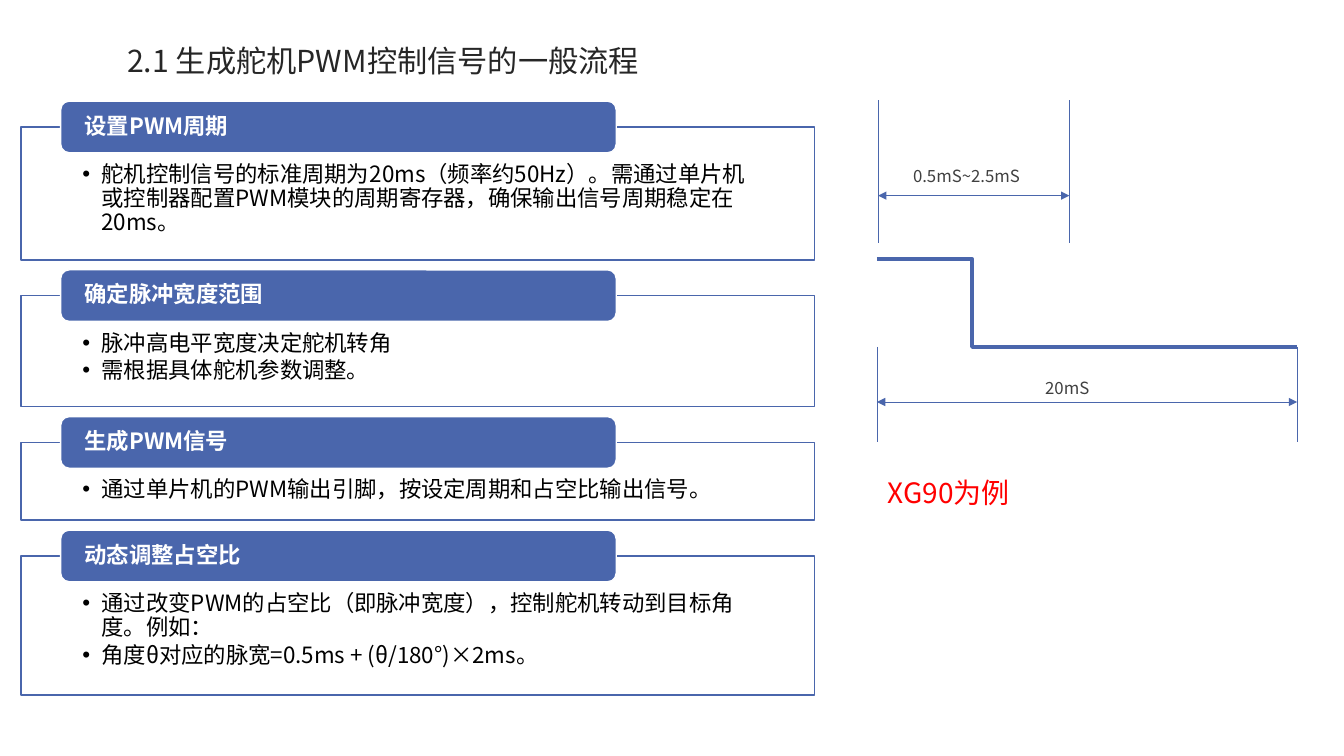
"""Build the slide on the general flow for generating a servo PWM control signal."""
from lxml.etree import SubElement
from pptx import Presentation
from pptx.dml.color import RGBColor
from pptx.enum.shapes import MSO_CONNECTOR, MSO_SHAPE
from pptx.enum.text import MSO_ANCHOR, MSO_AUTO_SIZE, PP_ALIGN
from pptx.oxml.ns import qn
from pptx.util import Cm, Pt

FONT = "Noto Sans CJK SC"
BLUE, WHITE = "4A66AC", "FFFFFF"


def style(p, size, color, bold=False):
    p.alignment = PP_ALIGN.LEFT
    for r in p.runs:
        r.font.size, r.font.bold, r.font.name = Pt(size), bold, FONT
        r.font.color.rgb = RGBColor.from_string(color)
        SubElement(r._r.get_or_add_rPr(), qn("a:ea"), typeface=FONT)


def add_line(kind, x1, y1, x2, y2, width, arrows=False):
    c = s.shapes.add_connector(kind, Cm(x1), Cm(y1), Cm(x2), Cm(y2))
    c.line.color.rgb = RGBColor.from_string(BLUE)
    c.line.width = Pt(width)
    SubElement(c._element.spPr, qn("a:effectLst"))
    if arrows:
        ln = c._element.spPr.find(qn("a:ln"))
        for end_tag in ("a:headEnd", "a:tailEnd"):
            SubElement(ln, qn(end_tag), type="triangle")


prs = Presentation()
prs.slide_width, prs.slide_height = Cm(33.87), Cm(19.05)
s = prs.slides.add_slide(prs.slide_layouts[5])

title = s.shapes.title
title.left, title.top, title.width, title.height = Cm(2.95), Cm(1.04), Cm(18.54), Cm(1.09)
tf = title.text_frame
tf.text = "2.1 生成舵机PWM控制信号的一般流程"
tf.vertical_anchor = MSO_ANCHOR.MIDDLE
tf.auto_size = MSO_AUTO_SIZE.NONE
tf.paragraphs[0].line_spacing = 0.9
style(tf.paragraphs[0], 21.6, "262626")

steps = [
    ("设置PWM周期", 3.35,
     ["舵机控制信号的标准周期为20ms（频率约50Hz）。需通过单片机或控制器配置PWM模块的周期寄存器，确保输出信号周期稳定在20ms。"]),
    ("确定脉冲宽度范围", 2.8,
     ["脉冲高电平宽度决定舵机转角", "需根据具体舵机参数调整。"]),
    ("生成PWM信号", 1.96,
     ["通过单片机的PWM输出引脚，按设定周期和占空比输出信号。"]),
    ("动态调整占空比", 3.5,
     ["通过改变PWM的占空比（即脉冲宽度），控制舵机转动到目标角度。例如：",
      "角度θ对应的脉宽=0.5ms + (θ/180°)×2ms。"]),
]
top, gap, tab_height = 3.2, 0.9, 1.3
for heading, height, points in steps:
    panel = s.shapes.add_shape(MSO_SHAPE.RECTANGLE, Cm(0.53), Cm(top), Cm(20), Cm(height))
    tab = s.shapes.add_shape(MSO_SHAPE.ROUNDED_RECTANGLE, Cm(1.53), Cm(top - tab_height / 2),
                             Cm(14), Cm(tab_height))
    for sp, fill, border in ((panel, WHITE, BLUE), (tab, BLUE, WHITE)):
        sp.shadow.inherit = False
        sp.fill.solid()
        sp.fill.fore_color.rgb = RGBColor.from_string(fill)
        sp.line.color.rgb = RGBColor.from_string(border)
        sp.line.width = Pt(1)
        sp.text_frame.word_wrap = True

    tf = panel.text_frame
    tf.vertical_anchor = MSO_ANCHOR.TOP
    tf.margin_left = tf.margin_right = Cm(1.55)
    tf.margin_top, tf.margin_bottom = Cm(0.91), Cm(0.3)
    tf.text = "\n".join(points)
    for p in tf.paragraphs:
        pPr = p._p.get_or_add_pPr()
        pPr.set("marL", str(Cm(0.48)))
        pPr.set("indent", str(-Cm(0.48)))
        SubElement(pPr, qn("a:buFont"), typeface="Arial")
        SubElement(pPr, qn("a:buChar"), char="•")
        p.line_spacing, p.space_after = 0.9, Pt(2.4)
        style(p, 16, "000000")

    tf = tab.text_frame
    tf.vertical_anchor = MSO_ANCHOR.MIDDLE
    tf.margin_left = tf.margin_right = Cm(0.54)
    tf.margin_top = tf.margin_bottom = 0
    tf.text = heading
    tf.paragraphs[0].line_spacing = 0.9
    style(tf.paragraphs[0], 16, WHITE, True)
    top += height + gap

start, fall, pulse_end, end = 22.1, 24.5, 26.95, 32.69
high, low = 6.53, 8.74
add_line(MSO_CONNECTOR.STRAIGHT, fall, low, end, low, 3)
add_line(MSO_CONNECTOR.ELBOW, start, high, 2 * fall - start, low, 3)
for left, right, y1, y2, arrow_y in ((start, end, low, 11.13, 10.13),
                                     (start + 0.03, pulse_end, 2.52, 6.12, 4.93)):
    for x in (left, right):
        add_line(MSO_CONNECTOR.STRAIGHT, x, y1, x, y2, 0.5)
    add_line(MSO_CONNECTOR.STRAIGHT, left, arrow_y, right, arrow_y, 0.5, True)

labels = [
    ("20mS", 26.09, 9.4, 1.73, 0.76, 12, "404040"),
    ("0.5mS~2.5mS", 22.76, 4.06, 3.33, 0.76, 12, "404040"),
    ("XG90为例", 22.12, 11.86, 3.78, 1.12, 20, "FF0000"),
]
for text, x, y, width, height, size, color in labels:
    tf = s.shapes.add_textbox(Cm(x), Cm(y), Cm(width), Cm(height)).text_frame
    tf.word_wrap = False
    tf.auto_size = MSO_AUTO_SIZE.SHAPE_TO_FIT_TEXT
    tf.text = text
    style(tf.paragraphs[0], size, color)

prs.save("out.pptx")
